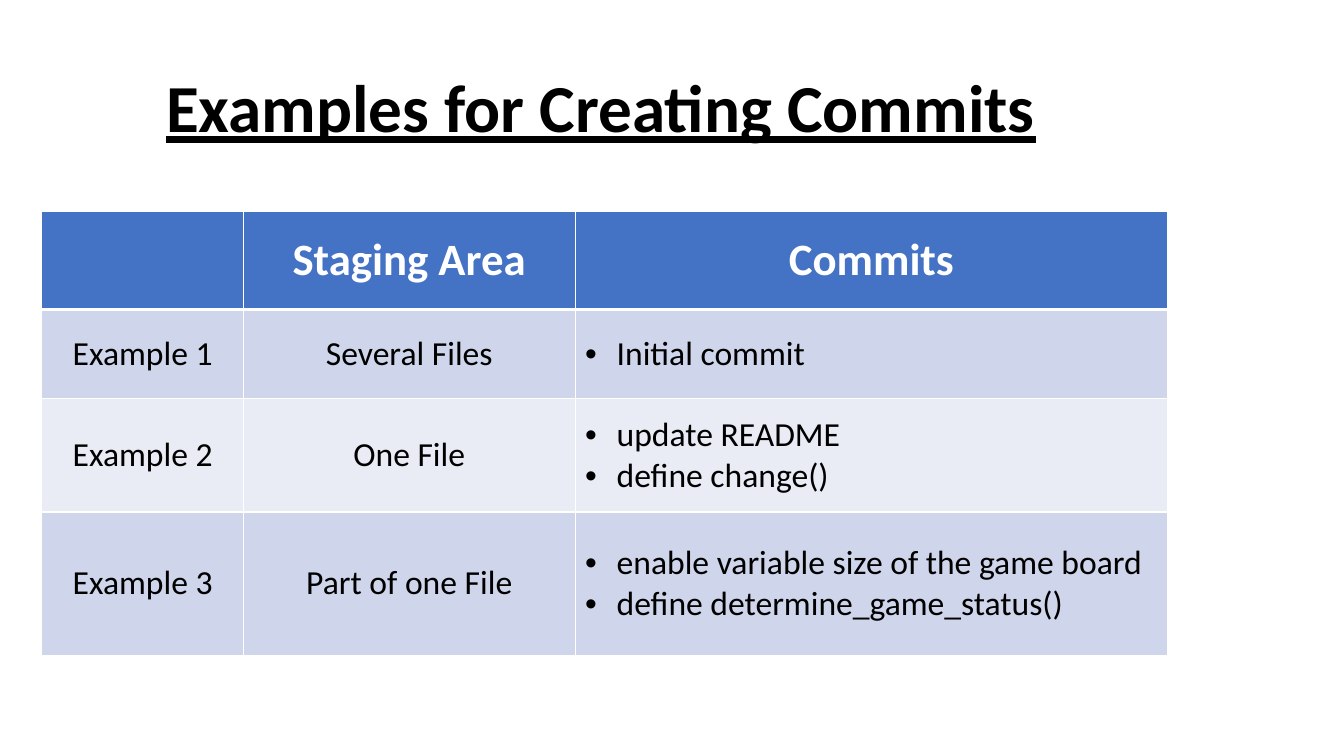
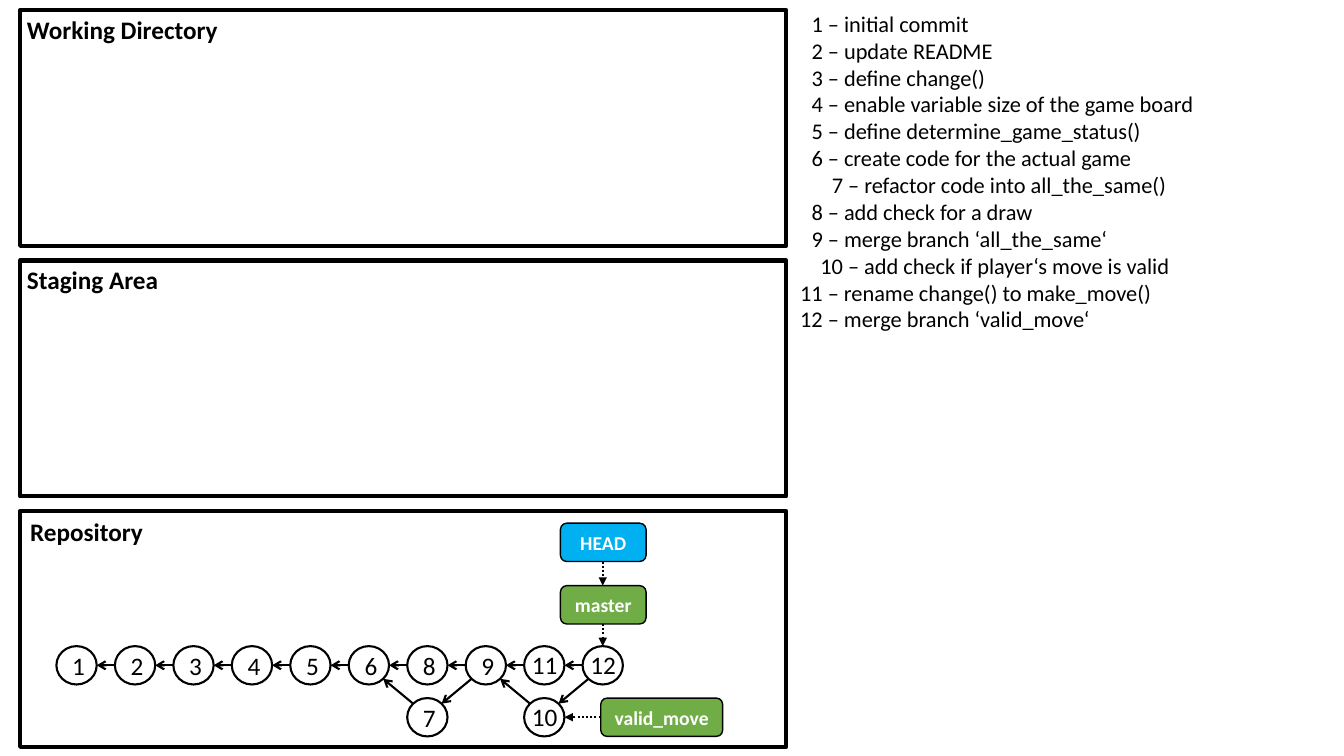
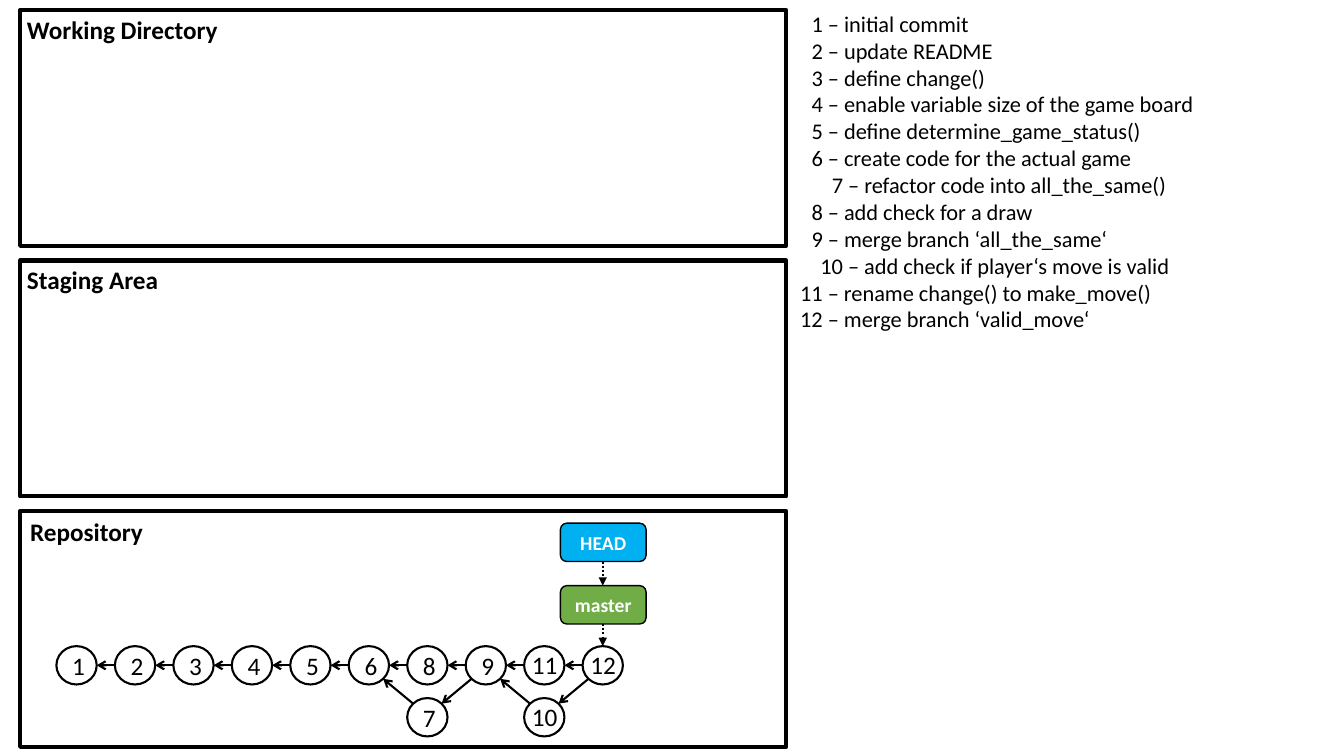
from math import sqrt

from lxml.etree import SubElement
from pptx import Presentation
from pptx.dml.color import RGBColor
from pptx.enum.dml import MSO_LINE
from pptx.enum.shapes import MSO_CONNECTOR, MSO_SHAPE
from pptx.enum.text import MSO_ANCHOR, MSO_AUTO_SIZE, PP_ALIGN
from pptx.oxml import parse_xml
from pptx.oxml.ns import nsdecls, qn
from pptx.util import Pt

# Shared look
BLACK = RGBColor(0, 0, 0)
WHITE = RGBColor(255, 255, 255)
HEADER_BLUE = RGBColor(0x44, 0x72, 0xC4)
BAND_DARK = RGBColor(0xCF, 0xD5, 0xEA)
BAND_LIGHT = RGBColor(0xE9, 0xEB, 0xF5)
HEAD_BLUE = RGBColor(0x00, 0xB0, 0xF0)
BRANCH_GREEN = RGBColor(0x70, 0xAD, 0x47)

TITLE = {"size": Pt(48), "bold": True, "underline": True}
TABLE_HEAD = {"size": Pt(32), "bold": True}
TABLE_BODY = {"size": Pt(24), "bold": False}
PANEL_NAME = {"size": Pt(18), "bold": True}
COMMIT_NUMBER = {"size": Pt(18)}
LOG_ENTRY = {"size": Pt(16)}
REF_NAME = {"size": Pt(14), "bold": True}

# Table content
COLUMN_WIDTHS = [144, 236.9, 423.4]
ROW_HEIGHTS = [69.8, 63.4, 81.4, 102.2]
EXAMPLES = [
    ("", "Staging Area", "Commits"),
    ("Example 1", "Several Files", ["Initial commit"]),
    ("Example 2", "One File", ["update README", "define change()"]),
    ("Example 3", "Part of one File",
     ["enable variable size of the game board",
      "define determine_game_status()"]),
]

# Commit log: one-digit numbers move in by a digit, branch commits by a step
DIGIT, BRANCH_STEP = 8.11, 14.46
LOG = [
    "initial commit",
    "update README",
    "define change()",
    "enable variable size of the game board",
    "define determine_game_status()",
    "create code for the actual game",
    "refactor code into all_the_same()",
    "add check for a draw",
    "merge branch ‘all_the_same‘",
    "add check if player‘s move is valid",
    "rename change() to make_move()",
    "merge branch ‘valid_move‘",
]

# Panels: name, then left, top and width of the name
PANELS = [
    ("Working Directory", 12.2, 6.5, 152.6),
    ("Staging Area", 12.2, 185, 109.4),
    ("Repository", 14.4, 365, 95),
]
PANEL_LEFT, PANEL_TOP, PANEL_STEP = 14.4, 7.2, 178.92
PANEL_WIDTH, PANEL_HEIGHT = 547.2, 168.5

# Commit graph
MAIN_LINE = [1, 2, 3, 4, 5, 6, 8, 9, 11, 12]
BRANCH_COLUMNS = {7: 6, 10: 8}
BRANCH_ARROWS = [(7, 6), (9, 7), (10, 9), (12, 10)]
GRAPH_LEFT, GRAPH_STEP = 40.32, 41.76
MAIN_TOP, BRANCH_TOP = 461.5, 498.6
COMMIT_WIDTH, COMMIT_HEIGHT = 28.8, 27.4
REF_LEFT, REF_WIDTH, REF_HEIGHT = 400.3, 61.2, 27.4
HEAD_TOP, MASTER_TOP = 373.7, 418.3
VALID_MOVE_LEFT, VALID_MOVE_WIDTH = 429.1, 87.1


def write(paragraph, text, style, color=BLACK):
    run = paragraph.add_run()
    run.text = text
    run.font.name = "Calibri"
    run.font.color.rgb = color
    for attribute, value in style.items():
        setattr(run.font, attribute, value)


def indent(paragraph, left, first=0):
    properties = paragraph._p.get_or_add_pPr()
    properties.set("marL", str(Pt(left)))
    properties.set("indent", str(Pt(first)))
    return properties


def add_label(slide, box, text, style):
    frame = slide.shapes.add_textbox(*map(Pt, box)).text_frame
    frame.word_wrap = True
    frame.auto_size = MSO_AUTO_SIZE.SHAPE_TO_FIT_TEXT
    write(frame.paragraphs[0], text, style)


def add_box(slide, kind, box, line_width, fill=None):
    shape = slide.shapes.add_shape(kind, *map(Pt, box))
    shape.shadow.inherit = False
    shape.line.color.rgb = BLACK
    shape.line.width = Pt(line_width)
    if fill is None:
        shape.fill.background()
    else:
        shape.fill.solid()
        shape.fill.fore_color.rgb = fill
    return shape


def write_centred(shape, text, style, color, wrap):
    frame = shape.text_frame
    frame.word_wrap = wrap
    frame.vertical_anchor = MSO_ANCHOR.MIDDLE
    frame.paragraphs[0].alignment = PP_ALIGN.CENTER
    write(frame.paragraphs[0], text, style, color)


def add_arrow(slide, start, end, tip="arrow", dash=None):
    arrow = slide.shapes.add_connector(
        MSO_CONNECTOR.STRAIGHT, *map(Pt, (*start, *end)))
    arrow.line.color.rgb = BLACK
    arrow.line.width = Pt(1.5)
    if dash:
        arrow.line.dash_style = dash
    SubElement(arrow.line._get_or_add_ln(), qn("a:tailEnd"), type=tip)
    SubElement(arrow._element.spPr, qn("a:effectLst"))


def add_pointer(slide, start, end):
    add_arrow(slide, start, end, "triangle", MSO_LINE.ROUND_DOT)


# Table
def set_borders(cell, widths):
    properties = cell._tc.get_or_add_tcPr()
    for place, (side, width) in enumerate(widths.items()):
        border = parse_xml(
            f'<a:ln{side} {nsdecls("a")} w="{Pt(width)}"><a:solidFill>'
            f'<a:srgbClr val="{WHITE}"/></a:solidFill></a:ln{side}>')
        properties.insert(place, border)


def fill_cell(cell, content, row):
    header = row == 0
    cell.fill.solid()
    cell.fill.fore_color.rgb = (
        HEADER_BLUE if header else BAND_DARK if row % 2 else BAND_LIGHT)
    set_borders(cell, {"L": 1, "R": 1, "T": 3 if row == 1 else 1,
                       "B": 3 if header else 1})
    cell.vertical_anchor = MSO_ANCHOR.MIDDLE
    bulleted = isinstance(content, list)
    for number, text in enumerate(content if bulleted else [content]):
        frame = cell.text_frame
        paragraph = frame.add_paragraph() if number else frame.paragraphs[0]
        if bulleted:
            properties = indent(paragraph, 22.5, -22.5)
            SubElement(properties, qn("a:buFont"), typeface="Arial")
            SubElement(properties, qn("a:buChar"), char="•")
        else:
            paragraph.alignment = PP_ALIGN.CENTER
        if text:
            write(paragraph, text, TABLE_HEAD if header else TABLE_BODY,
                  WHITE if header else BLACK)


def add_examples(slide):
    box = (29.9, 151.2, sum(COLUMN_WIDTHS), sum(ROW_HEIGHTS))
    table = slide.shapes.add_table(
        len(ROW_HEIGHTS), len(COLUMN_WIDTHS), *map(Pt, box)).table
    for column, width in zip(table.columns, COLUMN_WIDTHS):
        column.width = Pt(width)
    for row, height in enumerate(ROW_HEIGHTS):
        table.rows[row].height = Pt(height)
        for column, content in enumerate(EXAMPLES[row]):
            fill_cell(table.cell(row, column), content, row)


# Git areas
def add_panels(slide):
    for number, (name, left, top, width) in enumerate(PANELS):
        add_label(slide, (left, top, width, 29), name, PANEL_NAME)
        add_box(slide, MSO_SHAPE.RECTANGLE,
                (PANEL_LEFT, PANEL_TOP + number * PANEL_STEP,
                 PANEL_WIDTH, PANEL_HEIGHT), 3)


def add_log(slide):
    frame = slide.shapes.add_textbox(
        *map(Pt, (564.5, 3.6, 306.7, 239.8))).text_frame
    frame.word_wrap = True
    for number, message in enumerate(LOG, start=1):
        entry = frame.add_paragraph() if number > 1 else frame.paragraphs[0]
        indent(entry, (DIGIT if number < 10 else 0)
               + (BRANCH_STEP if number in BRANCH_COLUMNS else 0))
        write(entry, f"{number} – {message}", LOG_ENTRY)


def commit_corner(number):
    on_branch = number in BRANCH_COLUMNS
    column = BRANCH_COLUMNS[number] if on_branch else MAIN_LINE.index(number)
    return (GRAPH_LEFT + column * GRAPH_STEP,
            BRANCH_TOP if on_branch else MAIN_TOP)


def commit_edge(number, across, down):
    """Point on the outline in the direction (across, down)."""
    left, top = commit_corner(number)
    reach = sqrt(across ** 2 + down ** 2)
    return (left + COMMIT_WIDTH / 2 * (1 + across / reach),
            top + COMMIT_HEIGHT / 2 * (1 + down / reach))


def add_commit(slide, number):
    left, top = commit_corner(number)
    circle = add_box(slide, MSO_SHAPE.FLOWCHART_CONNECTOR,
                     (left, top, COMMIT_WIDTH, COMMIT_HEIGHT), 1.5, WHITE)
    if number < 10:
        write_centred(circle, str(number), COMMIT_NUMBER, BLACK, True)
    else:
        add_label(slide, (left - 1.6, top - 1.5, 36.7, 29),
                  str(number), COMMIT_NUMBER)


def add_ref(slide, name, left, top, width, fill):
    ref = add_box(slide, MSO_SHAPE.ROUNDED_RECTANGLE,
                  (left, top, width, REF_HEIGHT), 1, fill)
    write_centred(ref, name, REF_NAME, WHITE, False)


def add_graph(slide):
    for number in [*MAIN_LINE, *BRANCH_COLUMNS]:
        add_commit(slide, number)
    for parent, child in zip(MAIN_LINE, MAIN_LINE[1:]):
        add_arrow(slide, commit_edge(child, -1, 0), commit_edge(parent, 1, 0))
    for child, parent in BRANCH_ARROWS:
        down = -1 if child in BRANCH_COLUMNS else 1
        add_arrow(slide, commit_edge(child, -1, down),
                  commit_edge(parent, 1, -down))

    add_ref(slide, "HEAD", REF_LEFT, HEAD_TOP, REF_WIDTH, HEAD_BLUE)
    add_ref(slide, "master", REF_LEFT, MASTER_TOP, REF_WIDTH, BRANCH_GREEN)
    middle, commit_top = commit_edge(12, 0, -1)
    add_pointer(slide, (middle, HEAD_TOP + REF_HEIGHT), (middle, MASTER_TOP))
    add_pointer(slide, (middle, MASTER_TOP + REF_HEIGHT), (middle, commit_top))


def add_valid_move(slide):
    add_ref(slide, "valid_move", VALID_MOVE_LEFT, BRANCH_TOP,
            VALID_MOVE_WIDTH, BRANCH_GREEN)
    tip = commit_edge(10, 1, 0)
    add_pointer(slide, (VALID_MOVE_LEFT, tip[1]), tip)


def main():
    deck = Presentation()
    deck.slide_width, deck.slide_height = Pt(960), Pt(540)
    blank = deck.slide_layouts[6]

    # Slide 1: table of examples
    slide = deck.slides.add_slide(blank)
    add_examples(slide)
    add_label(slide, (111.6, 43.2, 639.4, 65.5),
              "Examples for Creating Commits", TITLE)

    # Slides 2 and 3: repository before and after the branch is deleted
    for branch_exists in (True, False):
        slide = deck.slides.add_slide(blank)
        add_panels(slide)
        add_log(slide)
        add_graph(slide)
        if branch_exists:
            add_valid_move(slide)

    deck.save("out.pptx")


main()
